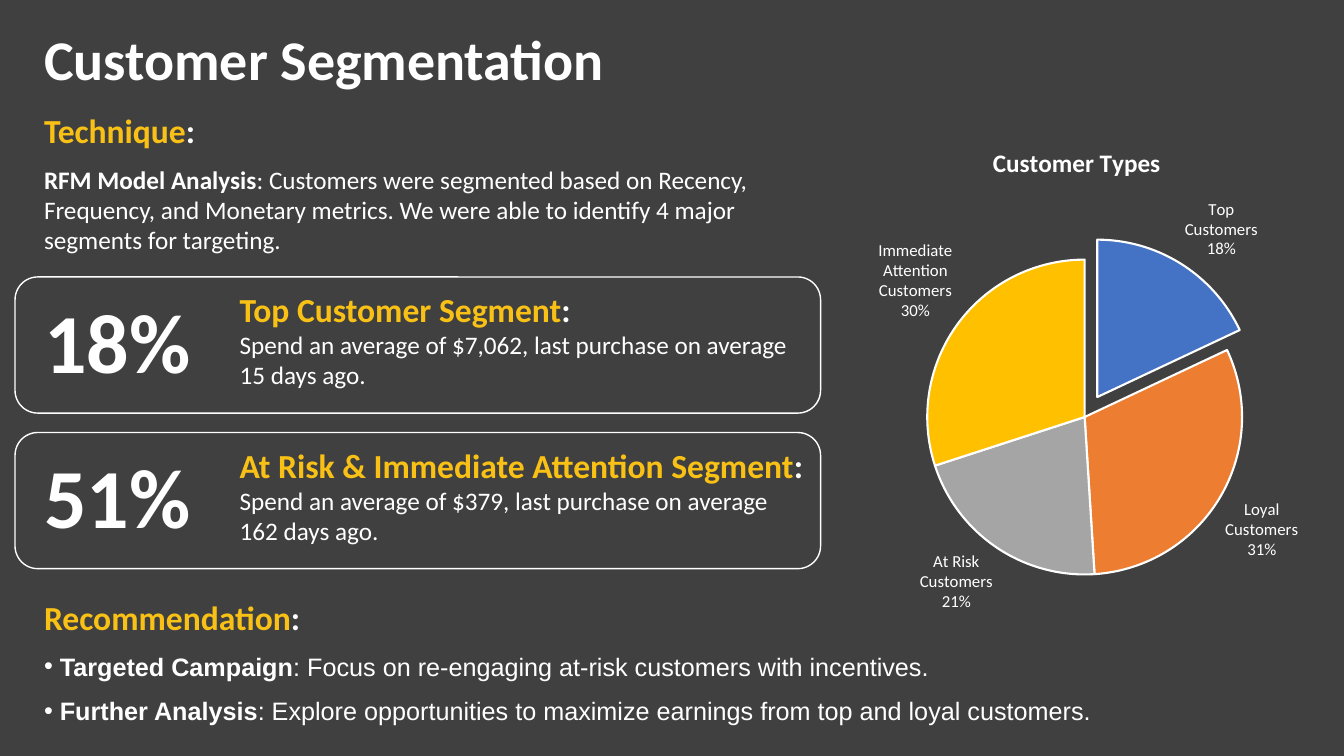
from lxml import etree
from pptx import Presentation
from pptx.chart.data import CategoryChartData
from pptx.dml.color import RGBColor
from pptx.enum.chart import XL_CHART_TYPE, XL_LABEL_POSITION
from pptx.enum.shapes import MSO_SHAPE
from pptx.enum.text import MSO_ANCHOR, PP_ALIGN
from pptx.oxml.ns import qn
from pptx.util import Cm, Pt

PIE = XL_CHART_TYPE.PIE
OUTSIDE = XL_LABEL_POSITION.OUTSIDE_END
ROUNDED = MSO_SHAPE.ROUNDED_RECTANGLE
TOP, LEFT = MSO_ANCHOR.TOP, PP_ALIGN.LEFT

WHITE, YELLOW, DARK = "FFFFFF", "F9C116", "404040"
FONT, BULLET_FONT = "Calibri", "Arial"

TITLE = "Customer Segmentation"
TECHNIQUE = ("RFM Model Analysis", ": Customers were segmented based on Recency, Frequency, "
             "and Monetary metrics. We were able to identify 4 major segments for targeting.")
SEGMENTS = [
    ("18%", "Top Customer Segment",
     "Spend an average of $7,062, last purchase on average 15 days ago."),
    ("51%", "At Risk & Immediate Attention Segment",
     "Spend an average of $379, last purchase on average 162 days ago."),
]
RECOMMENDATIONS = [
    ("Targeted Campaign", ": Focus on re-engaging at-risk customers with incentives."),
    ("Further Analysis",
     ": Explore opportunities to maximize earnings from top and loyal customers."),
]
CHART_TITLE = "Customer Types"
CUSTOMER_TYPES = [
    ("Top Customers", 0.18, "4472C4"),
    ("Loyal Customers", 0.31, "ED7D31"),
    ("At Risk Customers", 0.21, "A5A5A5"),
    ("Immediate Attention Customers", 0.30, "FFC000"),
]

MARGIN = 0.86
CARD_TOP, CARD_PITCH = 6.98, 3.92
GAP = 10


def rgb(value):
    return RGBColor.from_string(value)


def style(font, size, color=WHITE, bold=False, name=FONT):
    font.size, font.bold, font.name = Pt(size), bold, name
    font.color.rgb = rgb(color)


def add_run(p, text, *look, **options):
    r = p.add_run()
    r.text = text
    style(r.font, *look, **options)


def add_text(s, x, y, w, h):
    tf = s.shapes.add_textbox(Cm(x), Cm(y), Cm(w), Cm(h)).text_frame
    tf.word_wrap = True
    return tf


def add_heading(tf, text):
    p = tf.paragraphs[0]
    add_run(p, text, 24, YELLOW, True)
    add_run(p, ":", 24, WHITE, True)


def add_point(tf, lead, rest, name=FONT):
    """Add a paragraph with a bold lead-in."""
    p = tf.add_paragraph()
    p.space_before = Pt(GAP)
    add_run(p, lead, 18, bold=True, name=name)
    add_run(p, rest, 18, name=name)
    return p


def add_bullet(p):
    pPr = p._p.get_or_add_pPr()
    pPr.set("marL", str(Cm(0.4)))
    pPr.set("indent", str(-Cm(0.4)))
    etree.SubElement(pPr, qn("a:buFont")).set("typeface", BULLET_FONT)
    etree.SubElement(pPr, qn("a:buChar")).set("char", "•")


def place(parent, before, inner=False, **fractions):
    """Give a chart part a fixed place, as fractions of the chart."""
    for old in parent.findall(qn("c:layout")):
        parent.remove(old)
    layout = etree.Element(qn("c:layout"))
    manual = etree.SubElement(layout, qn("c:manualLayout"))
    settings = {"layoutTarget": "inner"} if inner else {}
    settings.update(xMode="edge", yMode="edge", **fractions)
    for tag, value in settings.items():
        etree.SubElement(manual, qn("c:" + tag)).set("val", str(value))
    parent.find(qn(before)).addprevious(layout)


def add_card(s, y, share, heading, detail):
    card = s.shapes.add_shape(ROUNDED, Cm(0.38), Cm(y), Cm(20.3), Cm(3.43))
    card.shadow.inherit = False
    card.fill.background()
    card.line.color.rgb = rgb(WHITE)
    card.line.width = Pt(1)
    tf = add_text(s, MARGIN, y + 0.18, 4.24, 2.82)
    add_run(tf.paragraphs[0], share, 60, bold=True)
    tf = add_text(s, 5.79, y + 0.18, 14.88, 2.82)
    add_heading(tf, heading)
    add_run(tf.add_paragraph(), detail, 18)


def add_pie(s):
    names, shares, colors = zip(*CUSTOMER_TYPES)
    data = CategoryChartData(number_format="0%")
    data.categories = names
    data.add_series("Series 1", shares)
    chart = s.shapes.add_chart(PIE, Cm(20.68), Cm(2.9), Cm(12.8), Cm(12.9), data).chart
    style(chart.font, 12)
    chart.has_legend = False
    chart.has_title = True
    p = chart.chart_title.text_frame.paragraphs[0]
    p.text = CHART_TITLE
    style(p.runs[0].font, 18, bold=True)
    plot = chart.plots[0]
    plot.vary_by_categories = True
    series = plot.series[0]
    for i, color in enumerate(colors):
        fmt = series.points[i].format
        fmt.fill.solid()
        fmt.fill.fore_color.rgb = rgb(color)
        fmt.line.color.rgb = rgb(WHITE)
        fmt.line.width = Pt(1.5)
    top_slice = series._element.find(qn("c:dPt"))
    explosion = etree.Element(qn("c:explosion"))
    explosion.set("val", "15")
    top_slice.find(qn("c:spPr")).addprevious(explosion)
    labels = series.data_labels
    style(labels.font, 12)
    labels.number_format, labels.number_format_is_linked = "0%", False
    labels.position = OUTSIDE
    labels.show_category_name = labels.show_percentage = True
    labels.show_value = False
    separator = etree.Element(qn("c:separator"))
    separator.text = "\n"
    labels._element.find(qn("c:showBubbleSize")).addnext(separator)
    place(chart.chart_title._element, "c:overlay", x=0.33, y=0.05)
    place(chart._chartSpace.chart.plotArea, "c:pieChart", inner=True,
          x=0.21, y=0.28, w=0.62, h=0.62)


def main():
    prs = Presentation()
    prs.slide_width, prs.slide_height = Cm(33.87), Cm(19.05)
    s = prs.slides.add_slide(prs.slide_layouts[5])
    s.background.fill.solid()
    s.background.fill.fore_color.rgb = rgb(DARK)

    title = s.shapes.title
    title.left, title.top, title.width, title.height = Cm(MARGIN), Cm(0.48), Cm(14.73), Cm(1.96)
    tf = title.text_frame
    tf.text = TITLE
    tf.vertical_anchor = TOP
    tf.paragraphs[0].alignment = LEFT
    style(tf.paragraphs[0].runs[0].font, 40, bold=True)

    add_pie(s)
    tf = add_text(s, MARGIN, 2.64, 19.81, 3.94)
    add_heading(tf, "Technique")
    add_point(tf, *TECHNIQUE)
    for i, segment in enumerate(SEGMENTS):
        add_card(s, CARD_TOP + i * CARD_PITCH, *segment)
    tf = add_text(s, MARGIN, 14.91, 27.46, 3.5)
    add_heading(tf, "Recommendation")
    for lead, rest in RECOMMENDATIONS:
        add_bullet(add_point(tf, lead, rest, BULLET_FONT))
    prs.save("out.pptx")


if __name__ == "__main__":
    main()
